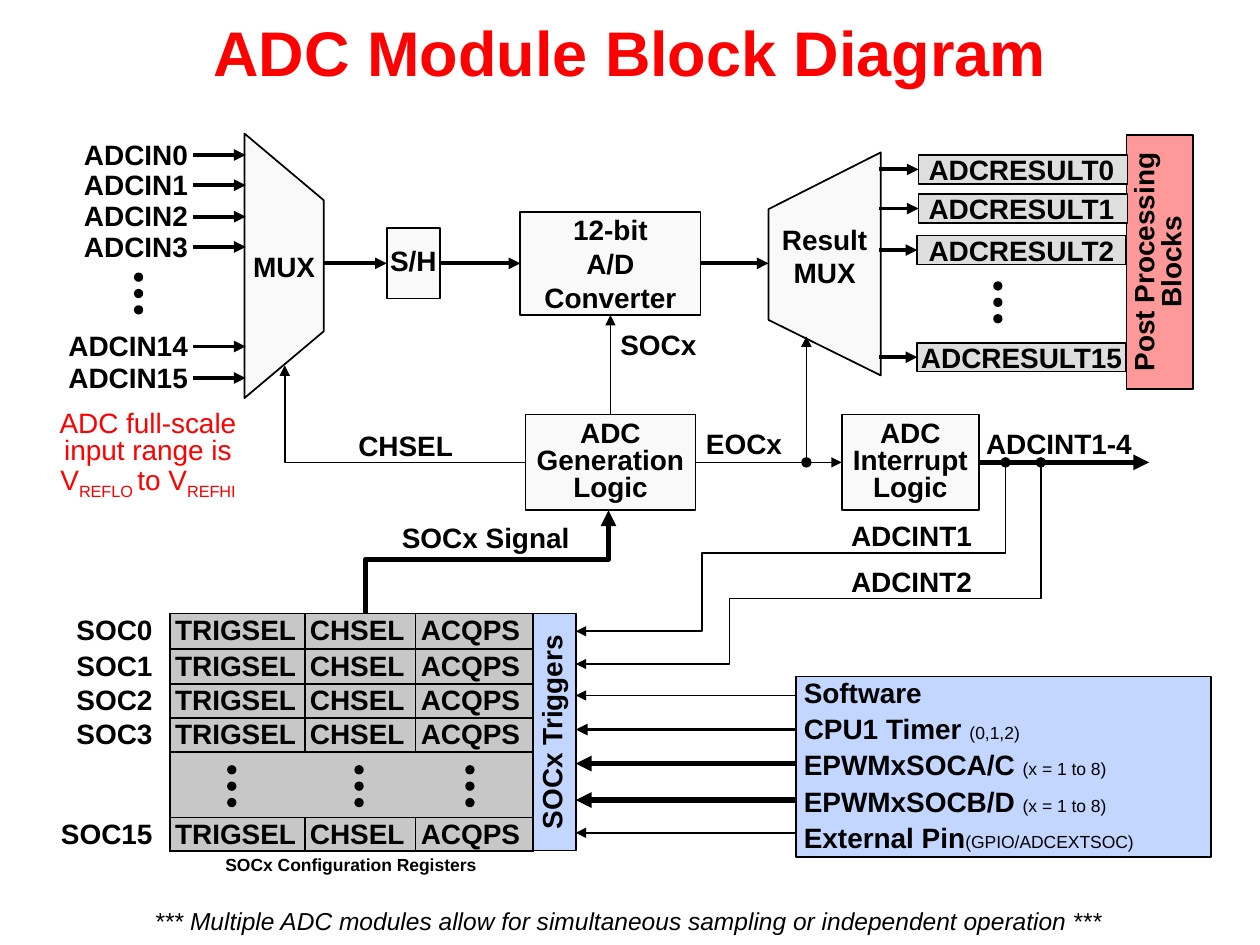
"""Build the ADC module block diagram slide."""
from lxml.etree import SubElement
from pptx import Presentation
from pptx.dml.color import RGBColor
from pptx.enum.shapes import MSO_CONNECTOR, MSO_SHAPE
from pptx.enum.text import MSO_ANCHOR, PP_ALIGN
from pptx.oxml.ns import qn
from pptx.util import Inches, Pt

LEFT, CENTER, RIGHT = PP_ALIGN.LEFT, PP_ALIGN.CENTER, PP_ALIGN.RIGHT
PALE, GRAY, REGISTER, BLUE, PINK = "F9F9F9", "DEDEDE", "C7C7C7", "C2D6FF", "FF9999"
BLACK, RED = "000000", "FF0000"
color_of = RGBColor.from_string


def write(frame, paragraphs, size=16, bold=True, italic=False, color=BLACK, align=CENTER,
          spacing=1.0, gap=0, wrap=False, anchor=MSO_ANCHOR.TOP):
    frame.word_wrap = wrap
    frame.vertical_anchor = anchor
    for index, runs in enumerate(paragraphs):
        paragraph = frame.add_paragraph() if index else frame.paragraphs[0]
        paragraph.alignment = align
        paragraph.line_spacing = spacing
        paragraph.space_before = Pt(gap if index else 0)
        for item in [runs] if isinstance(runs, str) else runs:
            text, run_size, run_bold, baseline = (item, size, bold, 0) if isinstance(item, str) else item
            run = paragraph.add_run()
            run.text = text
            run.font.name = "Arial"
            run.font.size = Pt(run_size)
            run.font.bold = run_bold
            run.font.italic = italic
            run.font.color.rgb = color_of(color)
            if baseline:
                run.font._element.set("baseline", str(baseline * 1000))


def paint(shape, fill=None, width=1, head=None, tail=None):
    if hasattr(shape, "fill"):
        shape.shadow.inherit = False
        if fill:
            shape.fill.solid()
            shape.fill.fore_color.rgb = color_of(fill)
        else:
            shape.fill.background()
    else:
        SubElement(shape._element.spPr, qn("a:effectLst"))
    shape.line.color.rgb = color_of(BLACK)
    shape.line.width = Pt(width)
    for tag, kind in (("a:headEnd", head), ("a:tailEnd", tail)):
        if kind:
            SubElement(shape.line._get_or_add_ln(), qn(tag)).set("type", kind)


presentation = Presentation()
presentation.slide_width, presentation.slide_height = Inches(10), Inches(7.5)
slide = presentation.slides.add_slide(presentation.slide_layouts[6])
shapes = slide.shapes

title = shapes.add_textbox(0, 0, Inches(10), Inches(0.81))
write(title.text_frame, ["ADC Module Block Diagram"], size=36, color=RED, wrap=True,
      anchor=MSO_ANCHOR.MIDDLE)

boxes = {}
for name, left, top, width, height, fill, lines, spacing in (
    ("sample_hold", 3.07, 1.81, 0.42, 0.56, PALE, ["S/H"], 0.8),
    ("converter", 4.13, 1.68, 1.43, 0.82, PALE, ["12-bit", "A/D", "Converter"], 1.0),
    ("generation", 4.17, 3.29, 1.35, 0.76, PALE, ["ADC", "Generation", "Logic"], 0.8),
    ("interrupt", 6.68, 3.29, 1.09, 0.76, PALE, ["ADC", "Interrupt", "Logic"], 0.8),
    ("triggers", 4.23, 4.87, 0.34, 1.88, BLUE, ["SOCx Triggers"], 0.8),
    ("post_processing", 8.94, 1.07, 0.53, 2.02, PINK, ["Post Processing", "Blocks"], 0.8),
):
    box = shapes.add_shape(MSO_SHAPE.RECTANGLE, Inches(left), Inches(top), Inches(width), Inches(height))
    paint(box, fill)
    write(box.text_frame, lines, spacing=spacing, anchor=MSO_ANCHOR.MIDDLE)
    boxes[name] = box
for name in ("triggers", "post_processing"):
    boxes[name].text_frame._txBody.bodyPr.set("vert", "vert270")

for points, lines, lift in (
    ([(1.94, 3.16), (2.57, 2.63), (2.57, 1.59), (1.94, 1.06)], ["MUX"], 0),
    ([(6.99, 2.98), (6.1, 2.54), (6.1, 1.66), (6.99, 1.21)], ["Result", "MUX"], 0.13),
):
    corners = [(Inches(x), Inches(y)) for x, y in points]
    builder = shapes.build_freeform(*corners[0])
    builder.add_line_segments(corners[1:], close=True)
    multiplexer = builder.convert_to_shape()
    paint(multiplexer, PALE)
    write(multiplexer.text_frame, lines, anchor=MSO_ANCHOR.MIDDLE)
    multiplexer.text_frame.margin_bottom = Inches(0.05 + lift)

links = [
    ((2.57, 2.09), (3.07, 2.09), 2.25, None, ("sample_hold", 1)),
    ((3.49, 2.09), (4.13, 2.09), 2.25, ("sample_hold", 3), ("converter", 1)),
    ((5.56, 2.09), (6.1, 2.09), 2.25, ("converter", 3), None),
    ((4.84, 3.29), (4.84, 2.5), 1, ("generation", 0), ("converter", 2)),
    ((5.52, 3.67), (6.68, 3.67), 1, ("generation", 3), ("interrupt", 1)),
    ((7.77, 3.67), (9.12, 3.67), 3, ("interrupt", 3), None),
]

for number, left, top, inset in ((0, 7.29, 1.23, 0.08), (1, 7.29, 1.54, 0.08),
                                 (2, 7.28, 1.87, 0.09), (15, 7.28, 2.72, 0.03)):
    name = f"ADCRESULT{number}"
    result = shapes.add_shape(MSO_SHAPE.RECTANGLE, Inches(left), Inches(top), Inches(1.66), Inches(0.23))
    paint(result, GRAY)
    write(result.text_frame, [name], align=LEFT, anchor=MSO_ANCHOR.MIDDLE)
    result.text_frame.margin_left = Inches(inset)
    result.text_frame.margin_top = result.text_frame.margin_bottom = 0
    boxes[name] = result
    links.append(((6.98, top + 0.115), (left, top + 0.115), 2.25, None, (name, 1)))

for number, top in ((0, 1.04), (1, 1.28), (2, 1.53), (3, 1.77), (14, 2.56), (15, 2.81)):
    label = shapes.add_textbox(Inches(0.44), Inches(top), Inches(1.15), Inches(0.37))
    write(label.text_frame, [f"ADCIN{number}"], align=RIGHT)
    links.append(((1.53, top + 0.19), (1.95, top + 0.19), 2.25, None, None))

links += [((6.32, y), (4.57, y), width, None, None)
          for y, width in ((5.52, 1), (5.79, 2.25), (6.06, 3), (6.35, 3), (6.61, 1))]

for start, end, width, source, target in links:
    connector = shapes.add_connector(MSO_CONNECTOR.STRAIGHT, *(Inches(value) for value in start + end))
    paint(connector, width=width, tail="triangle")
    if source:
        connector.begin_connect(boxes[source[0]], source[1])
    if target:
        connector.end_connect(boxes[target[0]], target[1])
end_of_conversion = shapes.add_connector(MSO_CONNECTOR.STRAIGHT, Inches(6.4), Inches(3.67),
                                         Inches(6.4), Inches(2.67))
paint(end_of_conversion, head="oval", tail="triangle")

for points, width, head in (
    ([(4.17, 3.67), (2.26, 3.67), (2.26, 2.9)], 1, None),
    ([(8.26, 3.67), (8.26, 4.75), (5.79, 4.75), (5.79, 5.27), (4.57, 5.27)], 1, "oval"),
    ([(7.98, 3.67), (7.98, 4.39), (5.57, 4.39), (5.57, 5.01), (4.57, 5.01)], 1, "oval"),
    ([(2.9, 4.87), (2.9, 4.44), (4.83, 4.44), (4.83, 4.05)], 3, None),
):
    corners = [(Inches(x), Inches(y)) for x, y in points]
    builder = shapes.build_freeform(*corners[0])
    builder.add_line_segments(corners[1:], close=False)
    paint(builder.convert_to_shape(), width=width, head=head, tail="triangle")

for text, left, top, width in (
    ("SOCx", 4.82, 2.55, 0.81), ("EOCx", 5.5, 3.34, 0.81), ("CHSEL", 2.74, 3.35, 0.96),
    ("ADCINT1-4", 7.72, 3.34, 1.37), ("SOCx Signal", 3.08, 4.08, 1.55),
    ("ADCINT1", 6.65, 4.07, 1.17), ("ADCINT2", 6.65, 4.43, 1.17),
):
    label = shapes.add_textbox(Inches(left), Inches(top), Inches(width), Inches(0.37))
    write(label.text_frame, [text])

input_range = shapes.add_textbox(Inches(0.21), Inches(3.22), Inches(1.93), Inches(0.75))
write(input_range.text_frame,
      [["ADC full-scale input range is V", ("REFLO ", 16, False, -25), "to V", ("REFHI", 16, False, -25)]],
      bold=False, color=RED, spacing=0.8, wrap=True)

sources = shapes.add_shape(MSO_SHAPE.RECTANGLE, Inches(6.32), Inches(5.37), Inches(3.29), Inches(1.43))
paint(sources, BLUE)
write(sources.text_frame, [
    ["Software"],
    ["CPU1 Timer ", ("(0,1,2)", 10, False, 0)],
    ["EPWMxSOCA/C ", ("(x = 1 to 8)", 10, False, 0)],
    ["EPWMxSOCB/D ", ("(x = 1 to 8)", 10, False, 0)],
    ["External Pin", ("(GPIO/ADCEXTSOC)", 10, False, 0)],
], align=LEFT, spacing=0.8, gap=5.4, wrap=True)
sources.text_frame.margin_left, sources.text_frame.margin_top = Inches(0.06), Inches(0.04)

row_names = ["SOC0", "SOC1", "SOC2", "SOC3", None, "SOC15"]
registers = shapes.add_table(6, 4, Inches(0.4), Inches(4.87), Inches(3.83), Inches(1.88)).table
registers.first_row = registers.horz_banding = False
for column, width in zip(registers.columns, (0.95, 1.07, 0.88, 0.93)):
    column.width = Inches(width)
for row, name, height in zip(registers.rows, row_names, (0.28, 0.28, 0.27, 0.27, 0.52, 0.26)):
    row.height = Inches(height)
    texts = [name, "TRIGSEL", "CHSEL", "ACQPS"] if name else [None] * 4
    for index, (cell, text) in enumerate(zip(row.cells, texts)):
        cell.margin_top = cell.margin_bottom = 0
        cell.margin_left, cell.margin_right = Inches(0.04), Inches(0 if index else 0.14)
        cell.vertical_anchor = MSO_ANCHOR.MIDDLE
        if text:
            write(cell.text_frame, [text], align=LEFT if index else RIGHT)
        properties = cell._tc.get_or_add_tcPr()
        for side in ("L", "R", "T", "B"):
            border = SubElement(properties, qn(f"a:ln{side}"), w=str(Pt(1)))
            if index or side == "R":
                SubElement(SubElement(border, qn("a:solidFill")), qn("a:srgbClr"), val=BLACK)
            else:
                SubElement(border, qn("a:noFill"))
        if index:
            cell.fill.solid()
            cell.fill.fore_color.rgb = color_of(REGISTER)
        else:
            cell.fill.background()
registers.cell(4, 1).merge(registers.cell(4, 3))

for left, top in ((1.07, 2.17), (7.89, 2.24), (1.81, 6.08), (2.82, 6.08), (3.7, 6.08)):
    for step in range(3):
        dot = shapes.add_shape(MSO_SHAPE.OVAL, Inches(left), Inches(top + 0.13 * step),
                               Inches(0.06), Inches(0.06))
        paint(dot, BLACK)

caption = shapes.add_textbox(Inches(1.69), Inches(6.76), Inches(2.22), Inches(0.24))
write(caption.text_frame, ["SOCx Configuration Registers"], size=10, align=LEFT, spacing=0.8)
footnote = shapes.add_textbox(Inches(1.12), Inches(7.14), Inches(7.74), Inches(0.34))
write(footnote.text_frame,
      ["*** Multiple ADC modules allow for simultaneous sampling or independent operation ***"],
      size=14, bold=False, italic=True, wrap=True)

presentation.save("out.pptx")
